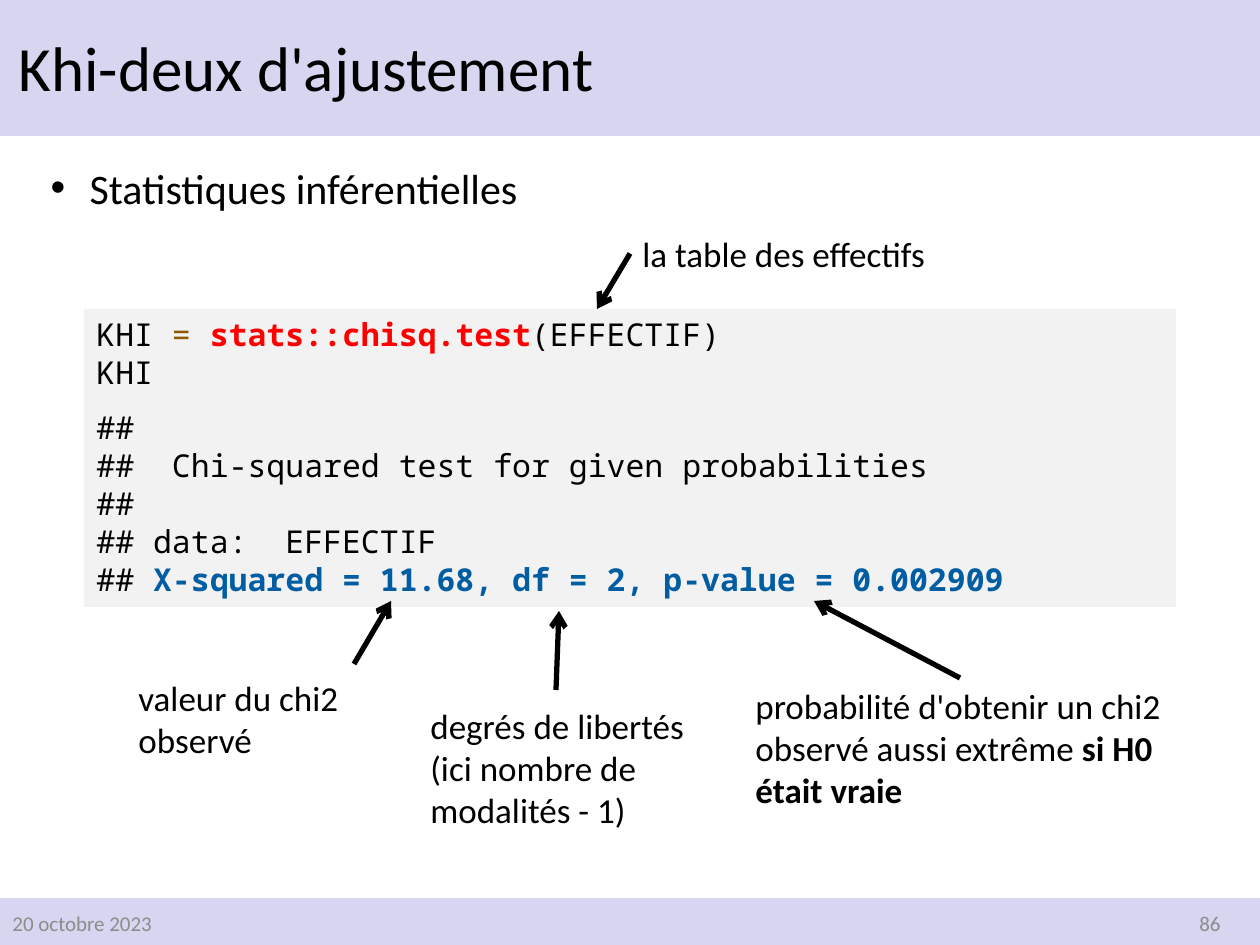
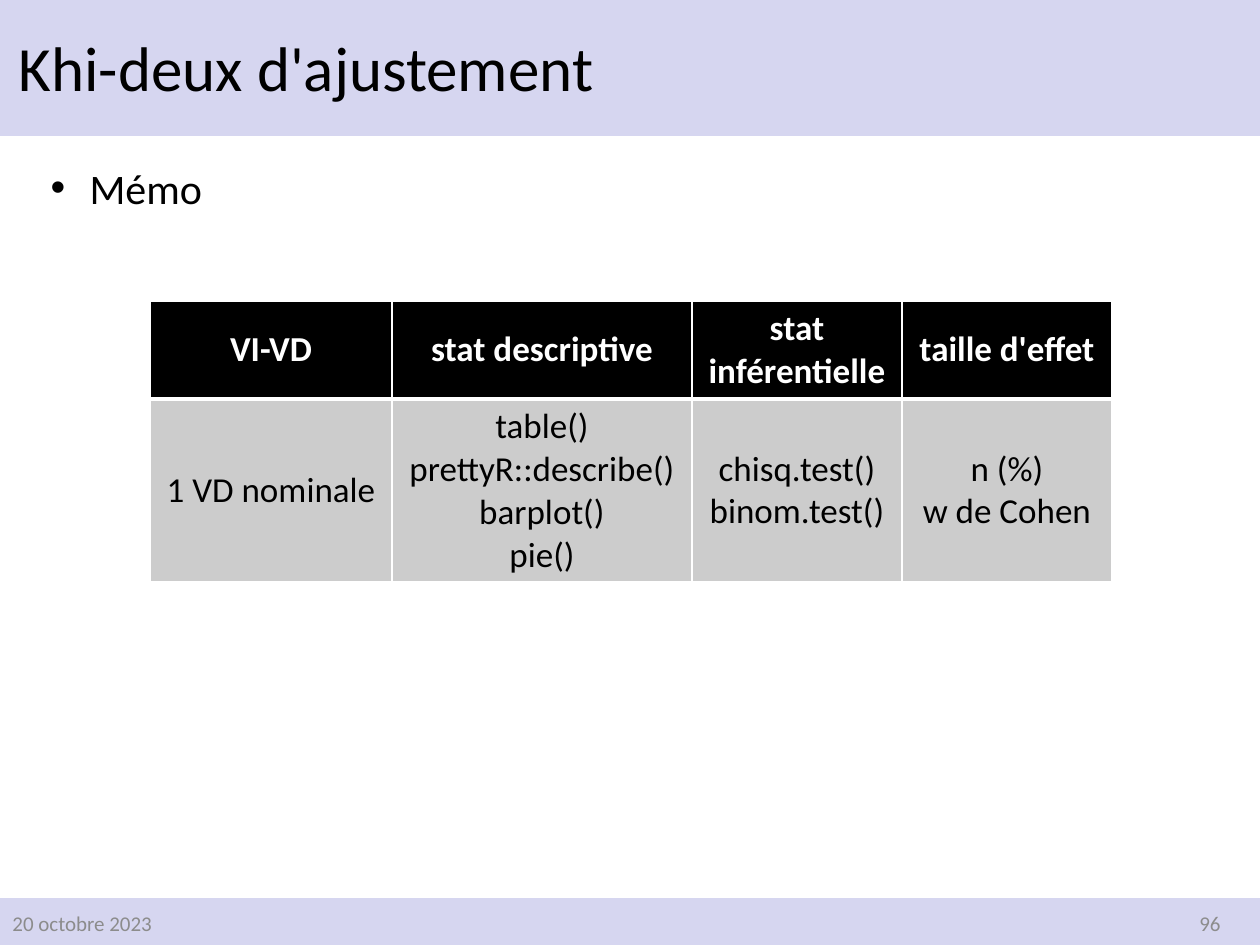
from dataclasses import dataclass

from pptx import Presentation
from pptx.dml.color import RGBColor
from pptx.enum.shapes import MSO_CONNECTOR as Link, MSO_SHAPE as Form
from pptx.enum.text import MSO_ANCHOR as Anchor, MSO_AUTO_SIZE as Fit, PP_ALIGN as Align
from pptx.oxml.ns import qn
from pptx.oxml.xmlchemy import OxmlElement as Node
from pptx.util import Emu, Pt


@dataclass(frozen=True)
class Theme:
    band: str = "D6D6F0"
    ink: str = "000000"
    paper: str = "FFFFFF"
    faint: str = "8C8C8C"
    panel: str = "F2F2F2"
    cell: str = "CCCCCC"
    sign: str = "8F5902"
    call: str = "FF0000"
    result: str = "005DA2"
    sans: str = "Calibri"
    mono: str = "Noto Sans Mono"
    head_pt: int = 36
    list_pt: int = 24
    note_pt: int = 20
    code_pt: int = 18
    foot_pt: int = 12
    rule_pt: int = 3


T = Theme()
SCALE = 914400 / 126
WIDE, HIGH = 1260, 945


def px(n):
    return Emu(round(n * SCALE))


def rgb(code):
    return RGBColor.from_string(code)


def paint(shape, tint):
    shape.shadow.inherit = False
    shape.fill.solid()
    shape.fill.fore_color.rgb = rgb(tint)
    shape.line.fill.background()


def place(shape, left, top, width, height):
    shape.left, shape.top = px(left), px(top)
    shape.width, shape.height = px(width), px(height)


def write(para, runs, size, face=T.sans, align=Align.LEFT):
    para.alignment = align
    for text, tint, bold in runs:
        for i, line in enumerate(text.split("\n")):
            if i:
                para.add_line_break()
            run = para.add_run()
            run.text = line
            font = run.font
            font.name, font.size, font.bold = face, Pt(size), bold
            font.color.rgb = rgb(tint)


def label(slide, rect, runs, size=T.note_pt, align=Align.LEFT, wrap=True, anchor=Anchor.TOP):
    box = slide.shapes.add_textbox(*map(px, rect))
    frame = box.text_frame
    frame.word_wrap = wrap
    frame.vertical_anchor = anchor
    write(frame.paragraphs[0], runs, size, align=align)
    return box


def arrow(slide, start, end, box=None, side=0):
    link = slide.shapes.add_connector(Link.STRAIGHT, *map(px, start + end))
    if box is not None:
        link.begin_connect(box, side)
    link.line.width = Pt(T.rule_pt)
    link.line.color.rgb = rgb(T.ink)
    props = link.element.spPr
    tip = Node("a:tailEnd")
    tip.set("type", "arrow")
    props.find(qn("a:ln")).append(tip)
    props.append(Node("a:effectLst"))


def bands(slide, layout):
    for top, height in ((0, 136), (898, HIGH - 898)):
        band = slide.shapes.add_shape(Form.RECTANGLE, 0, px(top), px(WIDE), px(height))
        paint(band, T.band)
        layout.shapes.element.insert(2, band.element)


def bullet(para):
    props = para._p.get_or_add_pPr()
    props.set("marL", str(px(39)))
    props.set("indent", str(-px(39)))
    mark = Node("a:buChar")
    mark.set("char", "•")
    props.append(mark)


def page(deck, layout, topic, number):
    slide = deck.slides.add_slide(layout)
    title, body = slide.placeholders
    place(title, 6, 9, 1082, 125)
    place(body, 38, 156, 804, 63)
    for holder in (title, body):
        holder.text_frame.auto_size = Fit.NONE
    para = title.text_frame.paragraphs[0]
    para.line_spacing = 0.9
    write(para, [("Khi-deux d'ajustement", T.ink, False)], T.head_pt)
    para = body.text_frame.paragraphs[0]
    para.space_before = Pt(0)
    bullet(para)
    write(para, [(topic, T.ink, False)], T.list_pt)
    for left, text, align in ((0, "20 octobre 2023", Align.LEFT), (949, number, Align.RIGHT)):
        label(slide, (left, 898, 284, 50), [(text, T.faint, False)],
              T.foot_pt, align, anchor=Anchor.MIDDLE)
    return slide


def code(slide, rect, blocks):
    box = slide.shapes.add_shape(Form.RECTANGLE, *map(px, rect))
    paint(box, T.panel)
    frame = box.text_frame
    frame.word_wrap = True
    frame.vertical_anchor = Anchor.TOP
    for i, runs in enumerate(blocks):
        para = frame.add_paragraph() if i else frame.paragraphs[0]
        para.space_after = Pt(10)
        write(para, runs, T.code_pt, T.mono)


def edge(cell, widths):
    props = cell._tc.get_or_add_tcPr()
    for i, (side, width) in enumerate(zip("LRTB", widths)):
        line = Node(f"a:ln{side}")
        line.set("w", str(Pt(width)))
        fill, tint = Node("a:solidFill"), Node("a:srgbClr")
        tint.set("val", T.paper)
        fill.append(tint)
        line.append(fill)
        props.insert(i, line)


def grid(slide, left, top, cols, rows, data):
    table = slide.shapes.add_table(len(rows), len(cols), px(left), px(top),
                                   px(sum(cols)), px(sum(rows))).table
    table.horz_banding = False
    for col, width in zip(table.columns, cols):
        col.width = px(width)
    for row, height in zip(table.rows, rows):
        row.height = px(height)
    looks = ((T.ink, T.paper, True, (1, 1, 1, 3)), (T.cell, T.ink, False, (1, 1, 3, 1)))
    for r, (texts, look) in enumerate(zip(data, looks)):
        fill, tint, bold, widths = look
        for c, text in enumerate(texts):
            cell = table.cell(r, c)
            cell.fill.solid()
            cell.fill.fore_color.rgb = rgb(fill)
            cell.vertical_anchor = Anchor.MIDDLE
            edge(cell, widths)
            frame = cell.text_frame
            for i, line in enumerate(text.split("\n")):
                para = frame.add_paragraph() if i else frame.paragraphs[0]
                write(para, [(line, tint, bold)], T.note_pt, align=Align.CENTER)


def test(slide):
    code(slide, (84, 309, 1092, 298), [
        [("KHI ", T.ink, False), ("= ", T.sign, False),
         ("stats::chisq.test", T.call, True), ("(EFFECTIF)\nKHI", T.ink, False)],
        [("##\n##  Chi-squared test for given probabilities\n##\n## data:  EFFECTIF\n## ",
          T.ink, False),
         ("X-squared = 11.68, df = 2, p-value = 0.002909", T.result, True)],
    ])
    counts = label(slide, (630, 226, 319, 55),
                   [("la table des effectifs", T.ink, False)], wrap=False)
    odds = label(slide, (743, 678, 434, 140),
                 [("probabilité d'obtenir un chi2 observé aussi extrême ", T.ink, False),
                  ("si H0 était vraie", T.ink, True)])
    label(slide, (126, 670, 345, 97), [("valeur du chi2 observé", T.ink, False)])
    label(slide, (418, 698, 311, 140),
          [("degrés de libertés (ici nombre de modalités - 1)", T.ink, False)])
    arrow(slide, (630, 253), (597, 309), counts, 1)
    arrow(slide, (960, 678), (814, 601), odds, 0)
    arrow(slide, (354, 664), (391, 601))
    arrow(slide, (556, 690), (559, 611))


def memo(slide):
    grid(slide, 150, 301, (242, 300, 210, 210), (98, 183), (
        ("VI-VD", "stat descriptive", "stat inférentielle", "taille d'effet"),
        ("1 VD nominale", "table()\nprettyR::describe()\nbarplot()\npie()",
         "chisq.test()\nbinom.test()", "n (%)\nw de Cohen"),
    ))


def main():
    deck = Presentation()
    deck.slide_width, deck.slide_height = px(WIDE), px(HIGH)
    layout = deck.slide_layouts[1]
    first = page(deck, layout, "Statistiques inférentielles", "86")
    bands(first, layout)
    test(first)
    memo(page(deck, layout, "Mémo", "96"))
    deck.save("out.pptx")


if __name__ == "__main__":
    main()
